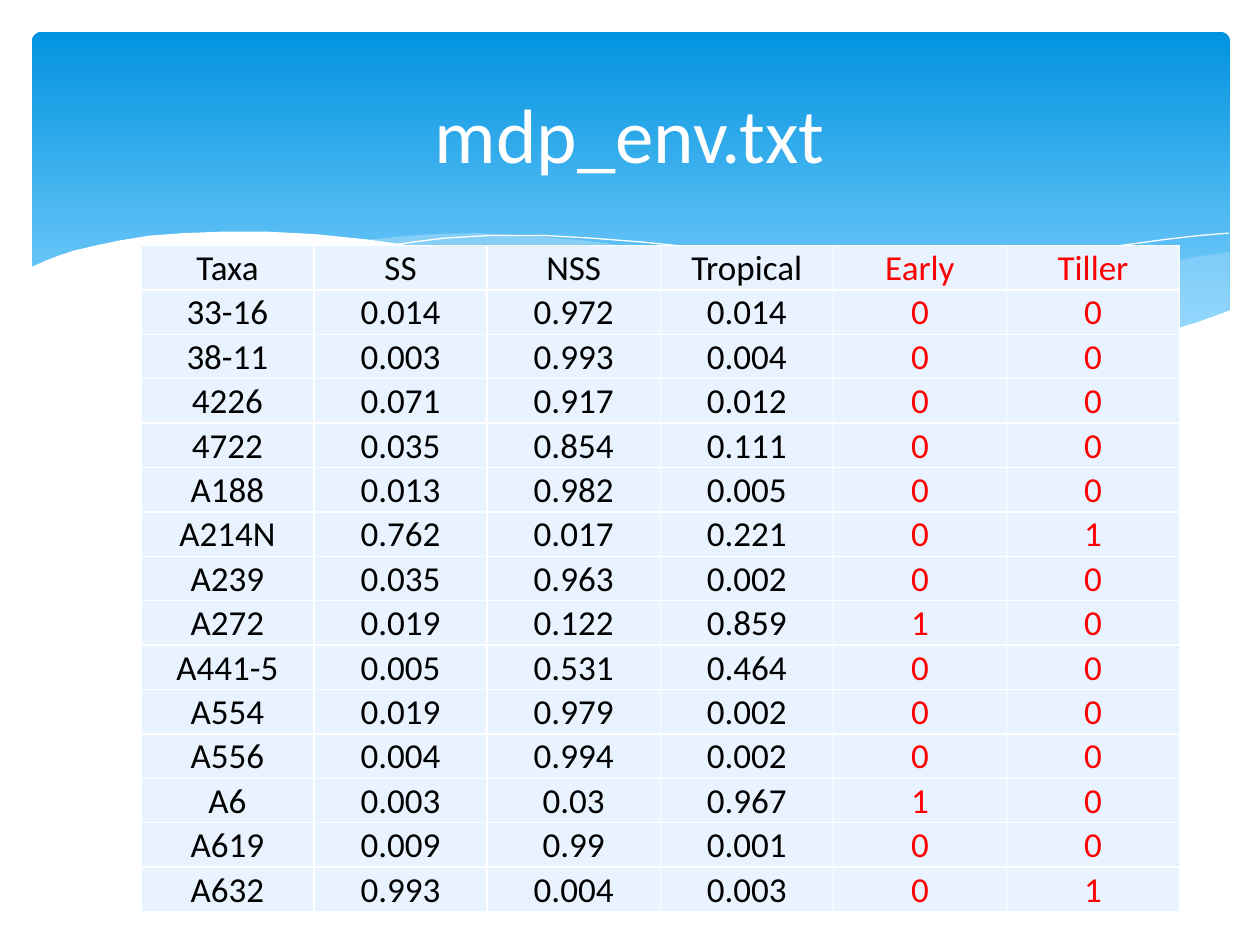
from lxml.etree import SubElement
from pptx import Presentation
from pptx.dml.color import RGBColor
from pptx.enum.shapes import MSO_SHAPE
from pptx.enum.text import MSO_ANCHOR, PP_ALIGN
from pptx.oxml.ns import qn
from pptx.util import Cm, Pt

WHITE = RGBColor(0xFF, 0xFF, 0xFF)
BLACK = RGBColor(0x00, 0x00, 0x00)
RED = RGBColor(0xFF, 0x00, 0x00)
DEEP_BLUE = RGBColor(0x02, 0x93, 0xE0)
SKY_BLUE = RGBColor(0x83, 0xD3, 0xFE)
PALE_BLUE = RGBColor(0xC6, 0xE7, 0xFC)
CELL_BLUE = RGBColor(0xE8, 0xF3, 0xFF)


def write(tf, text, size, color, align=PP_ALIGN.CENTER, font="Calibri"):
    p = tf.paragraphs[0]
    p.alignment = align
    r = p.add_run()
    r.text = text
    r.font.name = font
    r.font.size = Pt(size)
    r.font.color.rgb = color


def add_wave(s, points, closed):
    """Draw a freeform through points given in centimetres."""
    (x, y), *rest = [(Cm(px), Cm(py)) for px, py in points]
    fb = s.shapes.build_freeform(x, y)
    fb.add_line_segments(rest, close=closed)
    sp = fb.convert_to_shape()
    sp.shadow.inherit = False
    return sp


prs = Presentation()
prs.slide_width, prs.slide_height = Cm(25.4), Cm(19.05)
s = prs.slides.add_slide(prs.slide_layouts[5])

# Blue banner
banner = s.shapes.add_shape(MSO_SHAPE.ROUNDED_RECTANGLE, Cm(0.64), Cm(0.64), Cm(24.16), Cm(6.86))
banner.adjustments[0] = 0.03
banner.shadow.inherit = False
banner.line.fill.background()
banner.fill.gradient()
banner.fill.gradient_angle = 270
for stop, color, position in zip(banner.fill.gradient_stops, (DEEP_BLUE, SKY_BLUE), (0, 0.9)):
    stop.color.rgb = color
    stop.position = position

# Waves along the lower edge of the banner
right_wave = [
    (24.79, 5.08), (24.08, 5.18), (23.39, 5.33), (22.63, 5.49), (21.87, 5.66), (20.45, 6.02),
    (19.13, 6.3), (17.93, 6.53), (16.79, 6.73), (17.55, 6.83), (18.59, 6.96), (19.53, 7.04),
    (20.68, 7.06), (21.69, 7.01), (22.58, 6.91), (23.39, 6.73), (24.1, 6.53), (24.79, 6.27),
]
middle_wave = [
    (22.68, 6.93), (21.26, 6.73), (19.69, 6.45), (17.93, 6.1), (15.98, 5.64), (14.83, 5.36),
    (13.74, 5.16), (12.75, 4.98), (11.81, 4.85), (10.67, 4.75), (9.65, 4.7), (8.74, 4.72),
    (7.95, 4.78), (7.26, 4.85), (8.2, 4.98), (9.19, 5.16), (10.26, 5.36), (11.4, 5.64),
    (13.46, 6.1), (14.83, 6.4), (16.1, 6.63), (17.27, 6.81), (18.34, 6.96), (19.63, 7.04),
    (20.78, 7.06), (21.77, 7.04),
]
falling_line = [
    (7.85, 4.95), (8.33, 4.88), (8.97, 4.8), (9.83, 4.75), (11, 4.75), (11.91, 4.8),
    (12.95, 4.88), (14.12, 5), (15.44, 5.18), (16.89, 5.41), (18.47, 5.74), (20.19, 6.12),
    (22.07, 6.63), (23.04, 6.91),
]
rising_line = [
    (15.57, 6.53), (17.07, 6.12), (18.29, 5.82), (19.71, 5.49), (21.23, 5.18), (22.38, 4.98),
    (23.47, 4.83), (24.16, 4.75), (24.77, 4.7),
]
white_wave = [
    (24.82, 6.25), (24.13, 6.5), (23.37, 6.73), (22.53, 6.88), (21.59, 6.99), (20.55, 7.04),
    (19.33, 6.99), (17.98, 6.86), (16.46, 6.65), (14.71, 6.35), (12.78, 5.92), (11.35, 5.59),
    (9.93, 5.26), (8.64, 5), (7.42, 4.83), (6.35, 4.72), (5.36, 4.67), (4.5, 4.67),
    (3.71, 4.7), (3.02, 4.75), (2.41, 4.85), (1.93, 4.95), (1.5, 5.05), (1.17, 5.16),
    (0.91, 5.26), (0.58, 5.41), (0.58, 8.36), (24.82, 8.36),
]
for points, opacity in ((right_wave, 29), (middle_wave, 40)):
    sp = add_wave(s, points, closed=True)
    sp.line.fill.background()
    sp.fill.solid()
    sp.fill.fore_color.rgb = PALE_BLUE
    clr = sp.element.spPr.find(qn("a:solidFill")).find(qn("a:srgbClr"))
    SubElement(clr, qn("a:alpha"), val=str(opacity * 1000))
for points in (falling_line, rising_line):
    sp = add_wave(s, points, closed=False)
    sp.fill.background()
    sp.line.color.rgb = WHITE
    sp.line.width = Pt(0)
sp = add_wave(s, white_wave, closed=True)
sp.line.fill.background()
sp.fill.solid()
sp.fill.fore_color.rgb = WHITE

# Title, brought in front of the banner
title = s.shapes.title
s.shapes.element.append(title.element)
title.left, title.top, title.width, title.height = Cm(1.27), Cm(0.94), Cm(22.86), Cm(3.48)
title.text_frame.vertical_anchor = MSO_ANCHOR.MIDDLE
write(title.text_frame, "mdp_env.txt", size=44, color=WHITE)

# Table of population structure and environment covariates
rows = [
    ("Taxa", "SS", "NSS", "Tropical", "Early", "Tiller"),
    ("33-16", "0.014", "0.972", "0.014", "0", "0"),
    ("38-11", "0.003", "0.993", "0.004", "0", "0"),
    ("4226", "0.071", "0.917", "0.012", "0", "0"),
    ("4722", "0.035", "0.854", "0.111", "0", "0"),
    ("A188", "0.013", "0.982", "0.005", "0", "0"),
    ("A214N", "0.762", "0.017", "0.221", "0", "1"),
    ("A239", "0.035", "0.963", "0.002", "0", "0"),
    ("A272", "0.019", "0.122", "0.859", "1", "0"),
    ("A441-5", "0.005", "0.531", "0.464", "0", "0"),
    ("A554", "0.019", "0.979", "0.002", "0", "0"),
    ("A556", "0.004", "0.994", "0.002", "0", "0"),
    ("A6", "0.003", "0.03", "0.967", "1", "0"),
    ("A619", "0.009", "0.99", "0.001", "0", "0"),
    ("A632", "0.993", "0.004", "0.003", "0", "1"),
]
n_rows, n_cols = len(rows), len(rows[0])
table = s.shapes.add_table(
    n_rows, n_cols, Cm(2.84), Cm(4.95), Cm(3.49) * n_cols, Cm(0.88) * n_rows
).table
table.first_row = table.horz_banding = False
for i, row in enumerate(rows):
    for j, text in enumerate(row):
        cell = table.cell(i, j)
        cell.margin_left = cell.margin_right = cell.margin_top = Cm(0.03)
        cell.margin_bottom = 0
        cell.vertical_anchor = MSO_ANCHOR.BOTTOM
        tcPr = cell._tc.get_or_add_tcPr()
        for side in ("a:lnL", "a:lnR", "a:lnT", "a:lnB"):
            ln = SubElement(tcPr, qn(side), w=str(Pt(1)))
            SubElement(SubElement(ln, qn("a:solidFill")), qn("a:srgbClr"), val=str(WHITE))
        cell.fill.solid()
        cell.fill.fore_color.rgb = CELL_BLUE
        write(cell.text_frame, text, size=20, color=RED if j >= 4 else BLACK)

prs.save("out.pptx")
